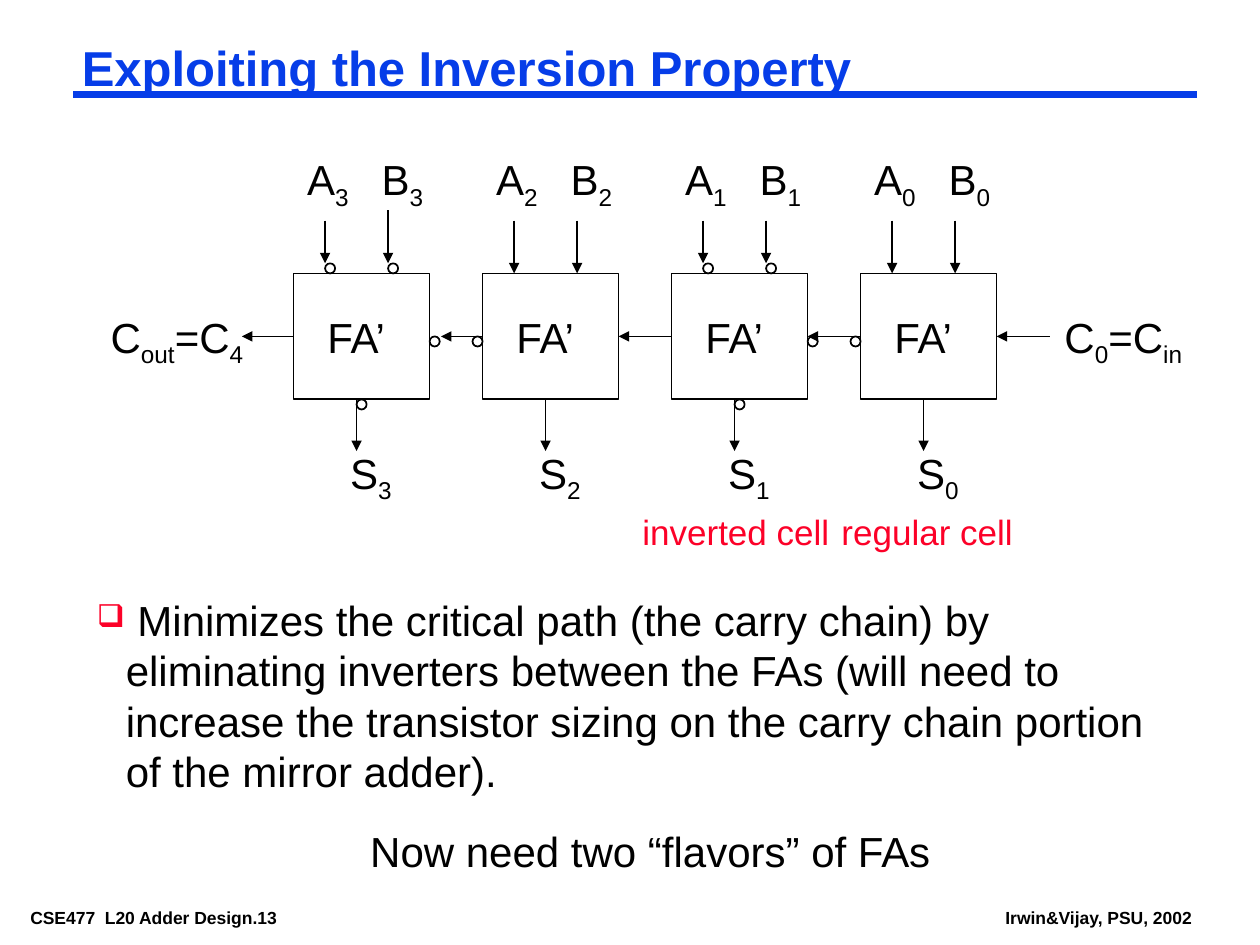
from dataclasses import dataclass

import pptx
import pptx.dml.color
import pptx.enum.shapes
import pptx.enum.text
import pptx.oxml
import pptx.oxml.ns
import pptx.util

Inches = pptx.util.Inches
COLORS = {"ink": "000000", "blue": "063DE8", "red": "FC0128"}
CELL_WIDTH, CELL_HEIGHT, CELL_TOP = 1.08, 1.0, 2.17
CELL_PITCH = 1.5
CARRY_Y = CELL_TOP + CELL_HEIGHT / 2
BUBBLE = 0.08
INSETS = (0.1, 0.05)
TIGHT_INSETS = (0.07, 0.03)


@dataclass
class Label:
    text: str  # "_" switches between baseline and subscript
    left: float
    top: float
    width: float
    height: float
    size: int = 24
    color: str = "ink"
    bold: bool = False
    wrap: bool = False
    insets: tuple[float, float] = INSETS


@dataclass
class Cell:
    bit: int
    inverted: bool
    b_start: float = 1.75

    @property
    def left(self) -> float:
        return 2.33 + CELL_PITCH * (3 - self.bit)


def rgb(name: str):
    return pptx.dml.color.RGBColor.from_string(COLORS[name])


def format_font(font, size: int, color: str, bold: bool) -> None:
    for attribute, value in {"name": "Arial", "size": pptx.util.Pt(size), "bold": bold}.items():
        setattr(font, attribute, value)
    font.color.rgb = rgb(color)


def format_frame(frame, insets: tuple[float, float], wrap: bool, grow: bool) -> None:
    across, down = map(Inches, insets)
    auto_size = pptx.enum.text.MSO_AUTO_SIZE
    settings = {
        "margin_left": across, "margin_right": across,
        "margin_top": down, "margin_bottom": down,
        "word_wrap": wrap,
        "auto_size": auto_size.SHAPE_TO_FIT_TEXT if grow else auto_size.NONE,
        "vertical_anchor": pptx.enum.text.MSO_ANCHOR.TOP,
    }
    for attribute, value in settings.items():
        setattr(frame, attribute, value)


def add_label(slide, label: Label):
    box = slide.shapes.add_textbox(*map(Inches, (label.left, label.top, label.width, label.height)))
    format_frame(box.text_frame, label.insets, label.wrap, grow=True)
    paragraph = box.text_frame.paragraphs[0]
    for index, part in enumerate(label.text.split("_")):
        if not part:
            continue
        run = paragraph.add_run()
        run.text = part
        format_font(run.font, label.size, label.color, label.bold)
        if index % 2:
            run.font._element.set("baseline", "-25000")
    return paragraph


def add_outline(slide, kind: str, left: float, top: float, width: float, height: float):
    shape = slide.shapes.add_shape(
        getattr(pptx.enum.shapes.MSO_SHAPE, kind), *map(Inches, (left, top, width, height)))
    shape.shadow.inherit = False
    shape.fill.background()
    shape.line.color.rgb = rgb("ink")
    shape.line.width = pptx.util.Pt(1)
    return shape


def add_line(slide, x1: float, y1: float, x2: float, y2: float,
             color: str = "ink", weight: float = 1, arrow: bool = True):
    line = slide.shapes.add_connector(
        pptx.enum.shapes.MSO_CONNECTOR.STRAIGHT, *map(Inches, (x1, y1, x2, y2)))
    line.line.color.rgb = rgb(color)
    line.line.width = pptx.util.Pt(weight)
    if arrow:
        tail = pptx.oxml.parse_xml(
            f'<a:tailEnd {pptx.oxml.ns.nsdecls("a")} type="triangle"/>')
        line.line._get_or_add_ln().append(tail)
    line._element.spPr.append(
        pptx.oxml.parse_xml(f'<a:effectLst {pptx.oxml.ns.nsdecls("a")}/>'))
    return line


def add_cell(slide, cell: Cell):
    x, bottom = cell.left, CELL_TOP + CELL_HEIGHT
    box = add_outline(slide, "RECTANGLE", x, CELL_TOP, CELL_WIDTH, CELL_HEIGHT)
    for name, dx, top in (("A", 0.01, 1.17), ("B", 0.6, 1.17), ("S", 0.35, 3.5)):
        add_label(slide, Label(f"{name}_{cell.bit}", x + dx, top, 0.53, 0.56))
    add_label(slide, Label("FA’", x + 0.17, 2.42, 0.83, 0.5, wrap=True))

    # Inputs A and B, output S
    input_end = CELL_TOP - BUBBLE if cell.inverted else CELL_TOP
    add_line(slide, x + 0.25, 1.75, x + 0.25, input_end)
    add_line(slide, x + 0.75, cell.b_start, x + 0.75, input_end)
    add_line(slide, x + 0.5, bottom, x + 0.5, 3.58)

    # Inversion bubbles on the inputs, the sum and both ends of the carry
    if cell.inverted:
        carry_gap = CELL_PITCH - CELL_WIDTH
        for dx, y in ((0.25, CELL_TOP - BUBBLE), (0.75, CELL_TOP - BUBBLE), (0.5, bottom),
                      (CELL_WIDTH, CARRY_Y), (CELL_WIDTH + carry_gap - BUBBLE, CARRY_Y)):
            add_outline(slide, "OVAL", x + dx, y, BUBBLE, BUBBLE)
    return box


def add_carry(slide, start_x: float, end_x: float, source=None, target=None) -> None:
    arrow = add_line(slide, start_x, CARRY_Y, end_x, CARRY_Y)
    if source is not None:
        arrow.begin_connect(source, 1)
    if target is not None:
        arrow.end_connect(target, 3)


def add_bullet(paragraph) -> None:
    properties = paragraph._p.get_or_add_pPr()
    properties.set("marL", str(Inches(0.23)))
    properties.set("indent", str(-Inches(0.23)))
    namespace = pptx.oxml.ns.nsdecls("a")
    for xml in (f'<a:buClr {namespace}><a:srgbClr val="{COLORS["red"]}"/></a:buClr>',
                f'<a:buSzPct {namespace} val="75000"/>',
                f'<a:buChar {namespace} char="❑"/>'):
        properties.append(pptx.oxml.parse_xml(xml))


def main() -> None:
    deck = pptx.Presentation()
    deck.slide_width, deck.slide_height = Inches(10), Inches(7.5)
    slide = deck.slides.add_slide(deck.slide_layouts[5])

    # Title and rule
    title = slide.shapes.title
    for side, value in {"left": 0.58, "top": 0.33, "width": 8.92, "height": 0.46}.items():
        setattr(title, side, Inches(value))
    title.text_frame.text = "Exploiting the Inversion Property"
    format_frame(title.text_frame, TIGHT_INSETS, wrap=True, grow=False)
    heading = title.text_frame.paragraphs[0]
    heading.alignment = pptx.enum.text.PP_ALIGN.LEFT
    heading.line_spacing = 0.87
    format_font(heading.runs[0].font, 28, "blue", True)
    add_line(slide, 0.58, 0.75, 9.5, 0.75, "blue", 4.5, arrow=False)

    # Adder cells, least significant bit first
    cells = [Cell(0, False), Cell(1, True), Cell(2, False), Cell(3, True, b_start=1.67)]
    boxes = [add_cell(slide, cell) for cell in cells]

    # Carry chain from right to left
    add_carry(slide, 8.33, cells[0].left + CELL_WIDTH, target=boxes[0])
    for index in range(2):
        add_carry(slide, cells[index].left, cells[index + 1].left + CELL_WIDTH,
                  boxes[index], boxes[index + 1])
    add_carry(slide, cells[2].left, 3.5, boxes[2])
    add_carry(slide, cells[3].left, 1.92, boxes[3])

    # Captions and footer
    for label in (
        Label("C_0_=C_in", 8.35, 2.42, 1.16, 0.56),
        Label("C_out_=C_4", 0.78, 2.42, 1.27, 0.56),
        Label("regular cell", 6.58, 4, 1.58, 0.44, 20, "red"),
        Label("inverted cell", 5, 4, 1.71, 0.44, 20, "red"),
        Label("Now need two “flavors” of FAs", 2.84, 6.5, 4.66, 0.5),
        Label("CSE477  L20 Adder Design.13", 0.17, 7.17, 2.61, 0.22, 10,
              bold=True, insets=TIGHT_INSETS),
        Label("Irwin&Vijay, PSU, 2002", 7.91, 7.17, 1.63, 0.22, 10,
              bold=True, insets=TIGHT_INSETS),
    ):
        add_label(slide, label)

    # Conclusion
    add_bullet(add_label(slide, Label(
        " Minimizes the critical path (the carry chain) by eliminating inverters between the FAs "
        "(will need to increase the transistor sizing on the carry chain portion of the mirror "
        "adder).", 0.67, 4.67, 8.75, 1.7, wrap=True)))
    deck.save("out.pptx")


if __name__ == "__main__":
    main()
